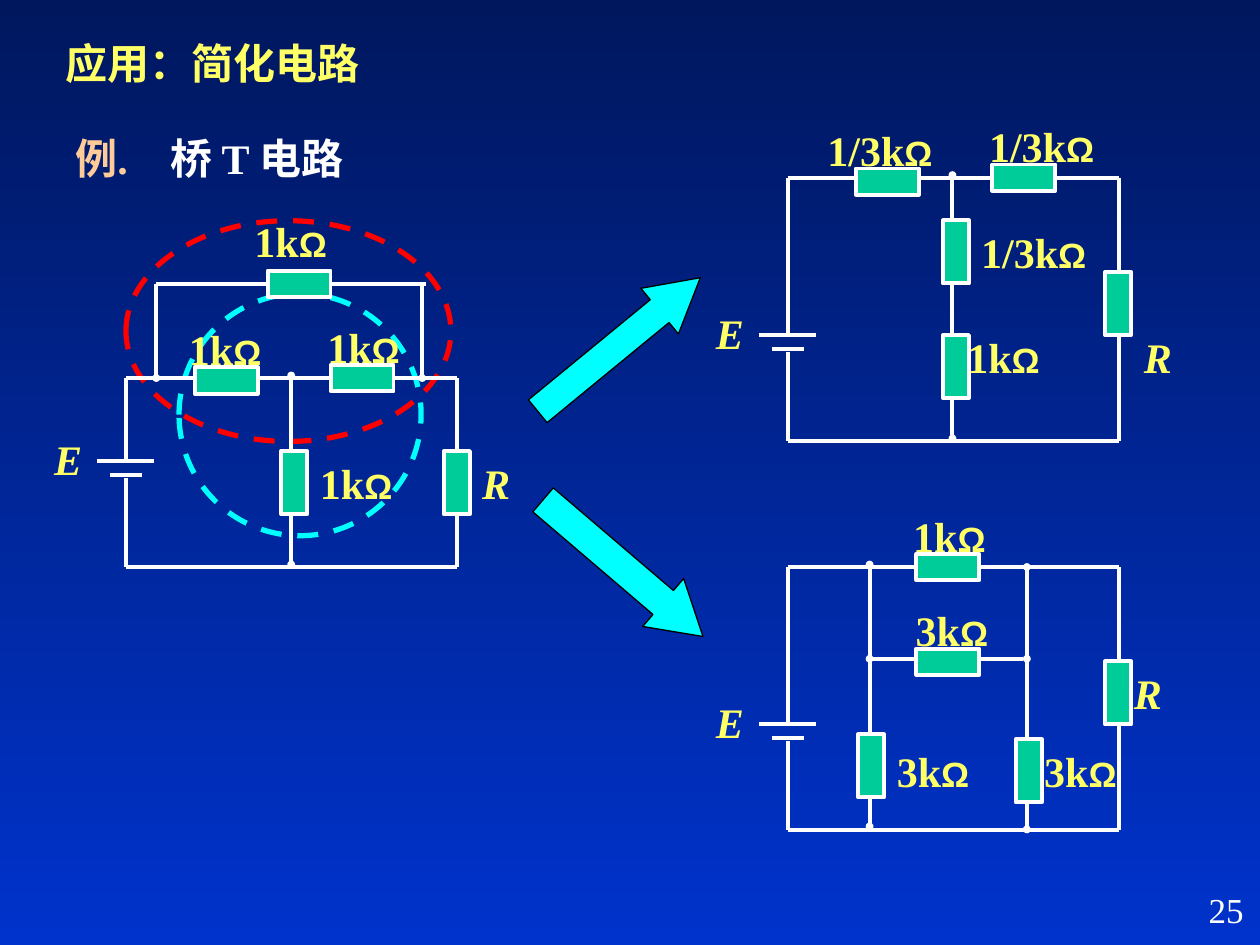
from dataclasses import dataclass
from lxml import etree
from pptx import Presentation
from pptx.dml.color import RGBColor as RGB
from pptx.enum.dml import MSO_LINE as Dash
from pptx.enum.shapes import MSO_CONNECTOR as Link, MSO_SHAPE as Kind
from pptx.enum.text import PP_ALIGN as Align
from pptx.oxml.ns import qn
from pptx.util import Cm, Pt


@dataclass(frozen=True)
class Theme:
    night: str = "00175E"
    blue: str = "0033CC"
    white: str = "FFFFFF"
    black: str = "000000"
    yellow: str = "FFFF66"
    peach: str = "FFCC99"
    green: str = "00CC99"
    red: str = "FF0000"
    cyan: str = "00FFFF"
    serif: str = "Times New Roman"
    sans: str = "Arial"
    big: int = 24
    mid: int = 20
    wire: float = 2.25


theme = Theme()
deck = Presentation()
deck.slide_width, deck.slide_height = Cm(25.4), Cm(19.05)
slide = deck.slides.add_slide(deck.slide_layouts[6])
shapes = slide.shapes


def write(text, at=None, para=None, size=theme.big, color=theme.yellow,
          font=theme.serif, bold=True, italic=False, align=Align.LEFT):
    """Put text in a new box at (left, top, width, height), or add it to para."""
    if para is None:
        frame = shapes.add_textbox(*map(Cm, at)).text_frame
        frame.word_wrap = True
        para = frame.paragraphs[0]
        para.alignment = align
    run = para.add_run()
    run.text = text
    face = run.font
    face.name, face.size, face.bold, face.italic = font, Pt(size), bold, italic
    face.color.rgb = RGB.from_string(color)
    return para


def draw(kind, at, fill=None, line=theme.white, width=theme.wire, turn=0):
    """Add a preset shape at (left, top, width, height)."""
    shape = shapes.add_shape(kind, *map(Cm, at))
    shape.shadow.inherit = False
    shape.rotation = turn
    if fill:
        shape.fill.solid()
        shape.fill.fore_color.rgb = RGB.from_string(fill)
    else:
        shape.fill.background()
    shape.line.color.rgb = RGB.from_string(line)
    shape.line.width = Pt(width)
    return shape


# Background
back = slide.background.fill
back.gradient()
back.gradient_angle = 270
for stop, color in zip(back.gradient_stops, (theme.night, theme.blue)):
    stop.color.rgb = RGB.from_string(color)

# Dashed rings round the parts to be replaced
for at, color in (((2.54, 4.45, 6.55, 4.45), theme.red),
                  ((3.61, 5.92, 4.88, 4.88), theme.cyan)):
    ring = draw(Kind.OVAL, at, line=color, width=3)
    ring.line.dash_style = Dash.DASH

# Headings
write("应用：简化电路", (1.07, 0.64, 6.55, 1.27))
para = write("例.", (1.27, 2.54, 6.55, 1.27), color=theme.peach)
tabs = etree.SubElement(para._p.get_or_add_pPr(), qn("a:tabLst"))
etree.SubElement(tabs, qn("a:tab"), pos=str(Cm(1.91)), algn="l")
write("\t桥 T 电路", para=para, color=theme.white)

# Circuits: corner of the frame, height of the cell, then the parts inside.
# Branches: x1, y1, x2, y2, dotted ends. Resistors: centre x, centre y, turn.
# Labels: left, top, width, value.
circuits = (
    dict(left=2.54, top=7.62, cell=9.3,
         branches=((5.87, 7.57, 5.87, 11.38, "both"),
                   (3.15, 7.62, 3.15, 5.72, "head"),
                   (3.15, 5.72, 8.59, 5.72, ""),
                   (8.51, 7.62, 8.51, 5.72, "head")),
         loads=((5.93, 9.73, 0), (7.3, 7.62, 270), (4.56, 7.67, 270),
                (9.21, 9.73, 0), (6.03, 5.72, 270)),
         labels=((4.88, 4.22, 2.54, "1k"), (3.56, 6.4, 2.54, "1k"),
                 (6.35, 6.35, 2.54, "1k"), (6.2, 9.09, 2.54, "1k")),
         out=(9.47, 9.09)),
    dict(left=15.88, top=3.58, cell=6.76,
         branches=((19.2, 3.53, 19.2, 8.84, "both"),),
         loads=((19.27, 7.39, 0), (20.64, 3.58, 270), (17.89, 3.66, 270),
                (22.54, 6.12, 0), (19.27, 5.08, 0)),
         labels=((16.43, 2.39, 2.82, "1/3k"), (19.69, 2.31, 2.87, "1/3k"),
                 (19.25, 6.55, 2.21, "1k"), (19.53, 4.45, 2.69, "1/3k")),
         out=(22.81, 6.55)),
    dict(left=15.88, top=11.43, cell=14.6,
         branches=((17.53, 11.38, 17.53, 16.66, "both"),
                   (20.7, 11.43, 20.7, 16.72, "both"),
                   (17.53, 13.28, 20.7, 13.28, "both")),
         loads=((19.11, 11.43, 270), (22.54, 13.97, 0), (17.56, 15.44, 0),
                (20.74, 15.54, 0), (19.11, 13.34, 270)),
         labels=((18.16, 10.16, 2.11, "1k"), (17.83, 14.91, 2.44, "3k"),
                 (20.8, 14.91, 2.44, "3k"), (18.21, 12.07, 2.44, "3k")),
         out=(22.61, 13.34)),
)
dots = {"": (), "head": ("headEnd",), "both": ("headEnd", "tailEnd")}

for part in circuits:
    left, top, cell = part["left"], part["top"], part["cell"]
    right, base = left + 6.67, cell + 2.13

    # Cell plates, frame and branches
    wires = (
        (left - 0.58, cell, left + 0.57, cell, ""),
        (left - 0.32, cell + 0.27, left + 0.32, cell + 0.27, ""),
        (left, cell + 0.33, left, base, ""),
        (left, cell, left, top, ""),
        (left, top, right, top, ""),
        (left, base, right, base, ""),
        (right, top, right, base, ""),
    ) + part["branches"]
    for *ends, mark in wires:
        wire = shapes.add_connector(Link.STRAIGHT, *map(Cm, ends))
        wire.line.color.rgb = RGB.from_string(theme.white)
        wire.line.width = Pt(theme.wire)
        for end in dots[mark]:
            etree.SubElement(wire.line._get_or_add_ln(), qn("a:" + end),
                             type="oval", w="sm", len="sm")
        etree.SubElement(wire._element.spPr, qn("a:effectLst"))

    # Resistors
    wide, high = 0.53, 1.27
    for x, y, turn in part["loads"]:
        draw(Kind.RECTANGLE, (x - wide / 2, y - high / 2, wide, high),
             fill=theme.green, turn=turn)

    # Values and names
    for x, y, span, value in part["labels"]:
        para = write(value, (x, y, span, 1.27))
        write("Ω", para=para, size=theme.mid, font=theme.sans)
    write("R", (*part["out"], 0.89, 1.27), italic=True)
    write("E", (left - 1.7, cell - 0.69, 1.09, 1.27), italic=True)

# Arrows to the two simpler circuits
for at, turn, tip in (((10.36, 6.35, 4.24, 1.19), 320.6, 0.89),
                      ((10.44, 10.82, 4.24, 1.27), 40.5, 0.83)):
    arrow = draw(Kind.RIGHT_ARROW, at, fill=theme.cyan, line=theme.black,
                 width=0.75, turn=turn)
    arrow.adjustments[1] = tip

# Page number
write("25", (20.04, 17.78, 5.28, 1.27), size=theme.mid, color=theme.white,
      bold=False, align=Align.RIGHT)

deck.save("out.pptx")
